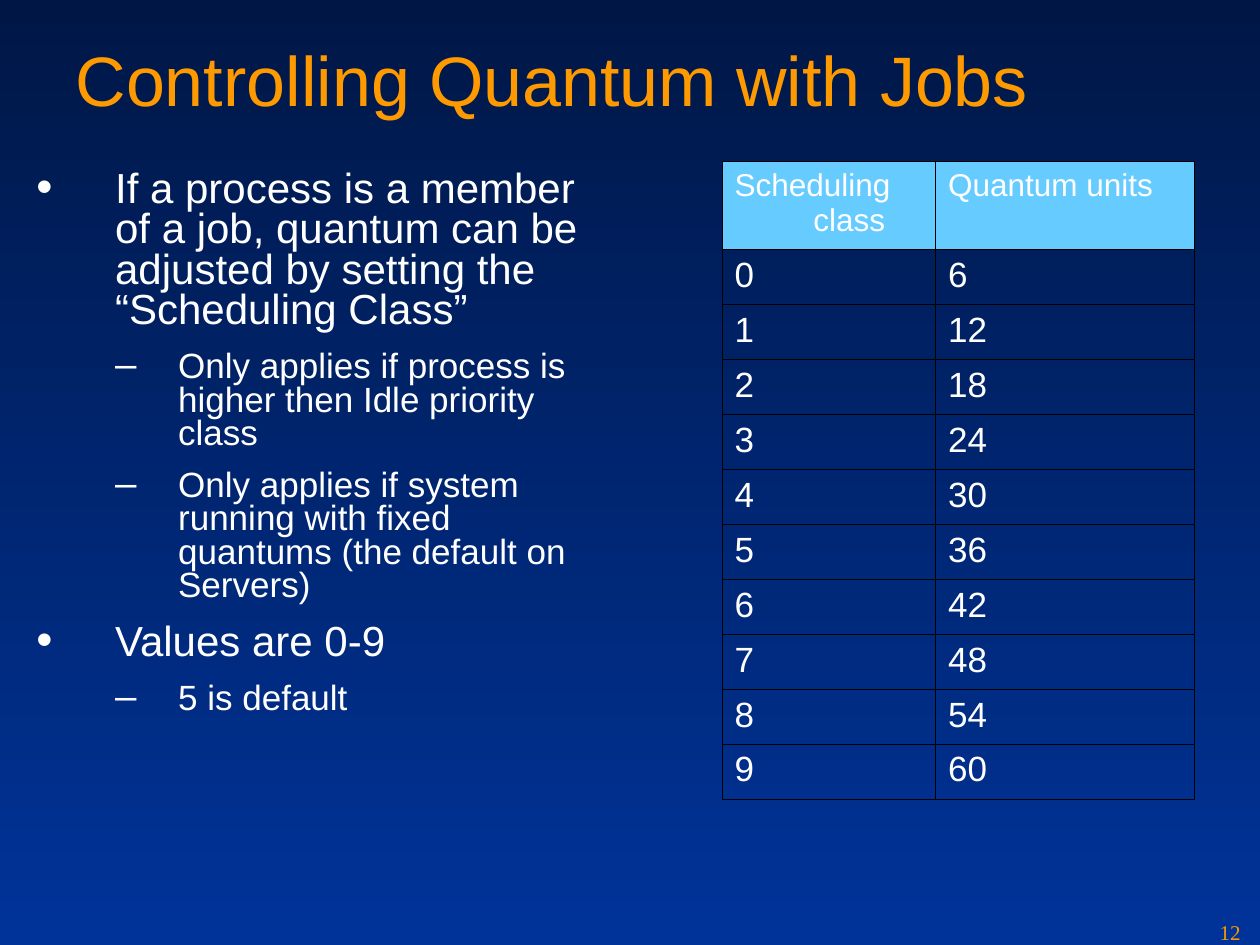
from lxml import etree
from pptx import Presentation
from pptx.dml.color import RGBColor
from pptx.enum.text import MSO_ANCHOR, MSO_AUTO_SIZE, PP_ALIGN
from pptx.oxml.ns import qn
from pptx.util import Pt

TOP = MSO_ANCHOR.TOP
NO_FIT = MSO_AUTO_SIZE.NONE
LEFT = PP_ALIGN.LEFT
TITLE_ONLY = 5

WHITE = "FFFFFF"
ORANGE = "FE9900"
LEVELS = [
    {"bullet": "•", "size": 24, "margin": 45, "hanging": 45, "gap": 6},
    {"bullet": "–", "size": 20, "margin": 81, "hanging": 36, "gap": 5},
]
POINTS = [
    (0, "If a process is a member of a job, quantum can be adjusted by setting the “Scheduling Class”"),
    (1, "Only applies if process is higher then Idle priority class"),
    (1, "Only applies if system running with fixed quantums (the default on Servers)"),
    (0, "Values are 0-9"),
    (1, "5 is default"),
]
QUANTUMS = [("Scheduling class", "Quantum units")] + [
    (str(level), str(6 * (level + 1))) for level in range(10)
]


def colour(value):
    return RGBColor.from_string(value)


def child(parent, tag, **attributes):
    return etree.SubElement(parent, qn(tag), attributes)


def write(para, text, size=20, color=WHITE, font="Arial", margin=0, hanging=0,
          before=0, after=0, spacing=None, bullet=None):
    properties = para._p.get_or_add_pPr()
    properties.set("marL", str(Pt(margin)))
    properties.set("indent", str(-Pt(hanging)))
    if bullet:
        child(child(properties, "a:buClr"), "a:srgbClr", val=color)
        child(properties, "a:buSzPct", val="110000")
        child(properties, "a:buFont", typeface=font)
        child(properties, "a:buChar", char=bullet)
    para.alignment = LEFT
    para.space_before = Pt(before)
    para.space_after = Pt(after)
    if spacing:
        para.line_spacing = spacing
    span = para.add_run()
    span.text = text
    span.font.size = Pt(size)
    span.font.name = font
    span.font.color.rgb = colour(color)


class SlideBuilder:
    def __init__(self, deck):
        self.page = deck.slides.add_slide(deck.slide_layouts[TITLE_ONLY])

    def background(self, top, bottom):
        fill = self.page.background.fill
        fill.gradient()
        fill.gradient_angle = 270
        for stop, position, value in zip(fill.gradient_stops, (0, 1), (top, bottom)):
            stop.position = position
            stop.color.rgb = colour(value)

    def title(self, text, left, top, width, height):
        box = self.page.shapes.title
        box.left, box.top, box.width, box.height = map(Pt, (left, top, width, height))
        frame = box.text_frame
        frame.vertical_anchor = TOP
        frame.auto_size = NO_FIT
        write(frame.paragraphs[0], text, size=40, color=ORANGE)

    def text(self, left, top, width, height):
        box = self.page.shapes.add_textbox(*map(Pt, (left, top, width, height)))
        box.text_frame.word_wrap = True
        return box.text_frame

    def bullets(self, points, *place):
        frame = self.text(*place)
        for index, (level, text) in enumerate(points):
            para = frame.add_paragraph() if index else frame.paragraphs[0]
            para.level = level
            style = dict(LEVELS[level])
            gap = style.pop("gap")
            write(para, text, before=gap if index else 0, after=gap,
                  spacing=0.8, **style)

    def number(self, text, *place):
        write(self.text(*place).paragraphs[0], text, size=12, color=ORANGE,
              font="Times New Roman")

    def table(self, rows, left, top, widths, heights):
        place = map(Pt, (left, top, sum(widths), sum(heights)))
        table = self.page.shapes.add_table(len(rows), len(widths), *place).table
        table.first_row = table.horz_banding = False
        for column, width in zip(table.columns, widths):
            column.width = Pt(width)
        for row, height in zip(table.rows, heights):
            row.height = Pt(height)
        for row_index, values in enumerate(rows):
            for column_index, text in enumerate(values):
                self.cell(table.cell(row_index, column_index), text, row_index == 0)

    def cell(self, cell, text, header):
        properties = cell._tc.get_or_add_tcPr()
        for side in ("a:lnL", "a:lnR", "a:lnT", "a:lnB"):
            line = child(properties, side, w=str(Pt(0.45)))
            child(child(line, "a:solidFill"), "a:srgbClr", val="000000")
        if header:
            cell.fill.solid()
            cell.fill.fore_color.rgb = colour("66CCFF")
        else:
            cell.fill.background()
        write(cell.text_frame.paragraphs[0], text, size=18 if header else 20,
              margin=45, hanging=45, after=4.5 if header else 5)


def main():
    deck = Presentation()
    deck.slide_width, deck.slide_height = Pt(720), Pt(540)
    slide = SlideBuilder(deck)
    slide.background("001746", "003399")
    slide.title("Controlling Quantum with Jobs", 36, 17.3, 648, 90)
    slide.bullets(POINTS, 13.7, 94.3, 329.8, 415.4)
    slide.table(QUANTUMS, 412.6, 92.3, [122, 148], [50.4] + [31.4] * 10)
    slide.number("12", 689.8, 522, 30.2, 18)
    deck.save("out.pptx")


if __name__ == "__main__":
    main()
